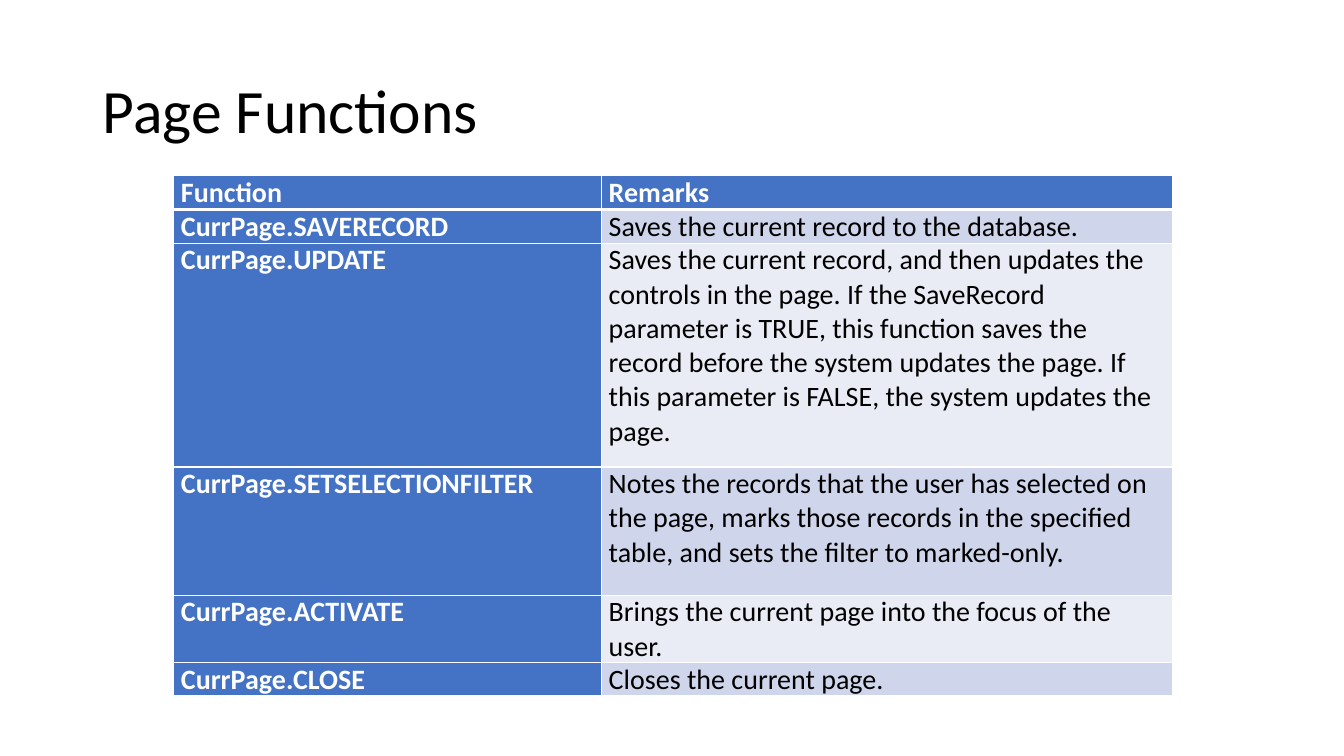
"""Build the Page Functions slide with its table of functions and remarks."""
import pptx
import pptx.dml.color
import pptx.enum.text
import pptx.oxml
import pptx.oxml.ns
import pptx.util

Cm = pptx.util.Cm
Pt = pptx.util.Pt
RGBColor = pptx.dml.color.RGBColor

TITLE = "Page Functions"
ROWS = [
    ("Function", "Remarks", 0.81),
    ("CurrPage.SAVERECORD", "Saves the current record to the database.", 0.81),
    ("CurrPage.UPDATE",
     "Saves the current record, and then updates the controls in the page. "
     "If the SaveRecord parameter is TRUE, this function saves the record "
     "before the system updates the page. If this parameter is FALSE, the "
     "system updates the page.", 5.64),
    ("CurrPage.SETSELECTIONFILTER",
     "Notes the records that the user has selected on the page, marks those "
     "records in the specified table, and sets the filter to marked-only.", 3.23),
    ("CurrPage.ACTIVATE", "Brings the current page into the focus of the user.", 1.6),
    ("CurrPage.CLOSE", "Closes the current page.", 0.81),
]
COL_WIDTHS = (10.78, 14.4)

FONT = "Calibri"
BLACK = RGBColor(0x00, 0x00, 0x00)
WHITE = RGBColor(0xFF, 0xFF, 0xFF)
BLUE = RGBColor(0x44, 0x72, 0xC4)
BANDS = (RGBColor(0xE9, 0xEB, 0xF5), RGBColor(0xCF, 0xD5, 0xEA))


def set_font(p, size, color, bold=False):
    p.font.name = FONT
    p.font.size = Pt(size)
    p.font.color.rgb = color
    p.font.bold = bold


def add_borders(cell, widths):
    tc_pr = cell._tc.get_or_add_tcPr()
    for side, width in widths.items():
        tc_pr.append(pptx.oxml.parse_xml(
            f'<a:ln{side} {pptx.oxml.ns.nsdecls("a")} w="{Pt(width)}">'
            f'<a:solidFill><a:srgbClr val="{WHITE}"/></a:solidFill></a:ln{side}>'))


def add_title(slide):
    sp = slide.shapes.add_textbox(Cm(2.34), Cm(1.02), Cm(29.21), Cm(3.68))
    tf = sp.text_frame
    tf.word_wrap = True
    tf.vertical_anchor = pptx.enum.text.MSO_ANCHOR.MIDDLE
    p = tf.paragraphs[0]
    p.text = TITLE
    p.line_spacing = 0.9
    set_font(p, 44, BLACK)


def add_functions(slide):
    height = sum(row[2] for row in ROWS)
    table = slide.shapes.add_table(
        len(ROWS), len(COL_WIDTHS), Cm(4.38), Cm(4.43),
        Cm(sum(COL_WIDTHS)), Cm(height)).table
    for column, width in zip(table.columns, COL_WIDTHS):
        column.width = Cm(width)
    for i, (*texts, row_height) in enumerate(ROWS):
        table.rows[i].height = Cm(row_height)
        for j, text in enumerate(texts):
            cell = table.cell(i, j)
            heading = i == 0 or j == 0
            add_borders(cell, {"L": 1, "R": 1, "T": 3 if i == 1 else 1,
                               "B": 3 if i == 0 else 1})
            cell.fill.solid()
            cell.fill.fore_color.rgb = BLUE if heading else BANDS[i % 2]
            cell.margin_left = cell.margin_right = Cm(0.18)
            cell.margin_top = cell.margin_bottom = 0
            p = cell.text_frame.paragraphs[0]
            p.text = text
            set_font(p, 20, WHITE if heading else BLACK, heading)


def main():
    prs = pptx.Presentation()
    prs.slide_width = Cm(33.87)
    prs.slide_height = Cm(19.05)
    slide = prs.slides.add_slide(prs.slide_layouts[6])
    add_title(slide)
    add_functions(slide)
    prs.save("out.pptx")


if __name__ == "__main__":
    main()
